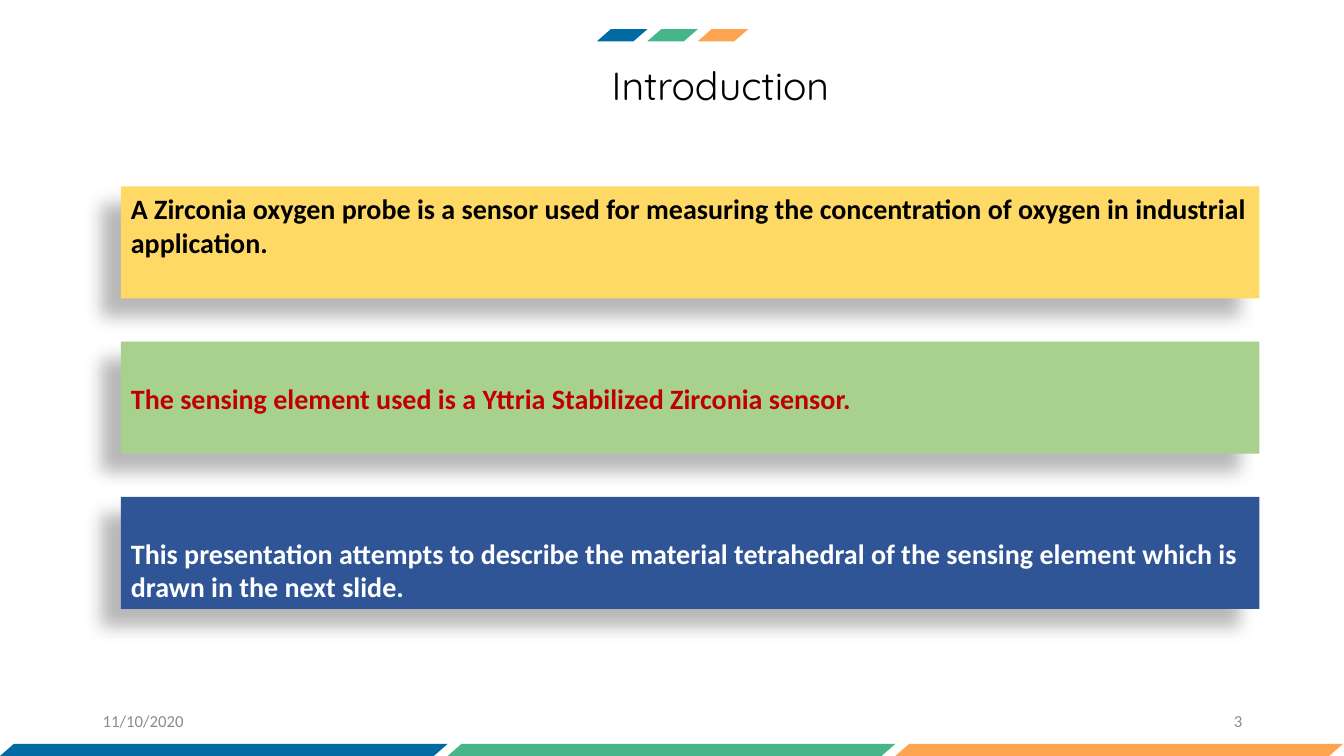
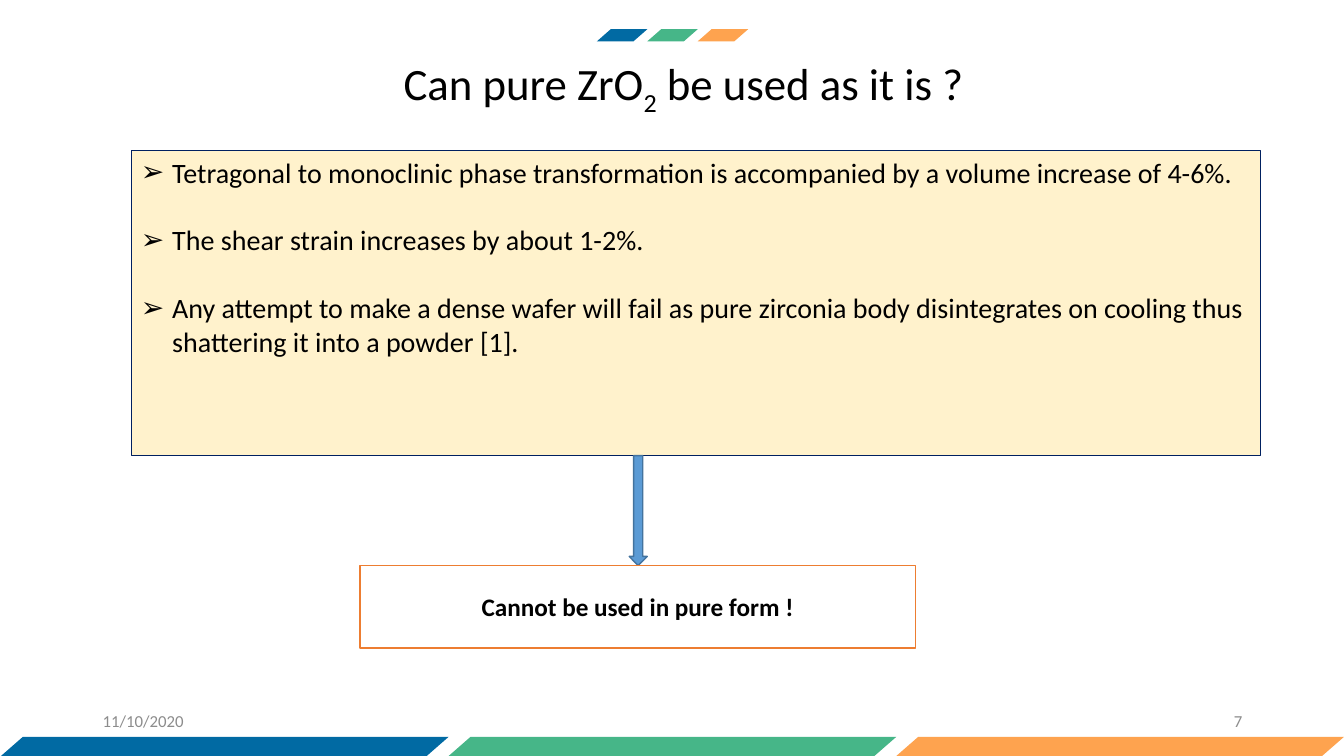
from dataclasses import dataclass

from lxml import etree
from pptx import Presentation, util as u
from pptx.dml.color import RGBColor
from pptx.enum import shapes, text
from pptx.oxml import ns


@dataclass(frozen=True)
class Theme:
    bands: tuple = ("016AA3", "46B688", "FEA34F")
    black: str = "000000"
    white: str = "FFFFFF"
    muted: str = "8C8C8C"
    red: str = "C00000"
    yellow: str = "FFD966"
    green: str = "A9D18E"
    navy: str = "2F5597"
    cream: str = "FFF2CC"
    outline: str = "002060"
    arrow: str = "5B9BD5"
    arrow_line: str = "43739E"
    orange: str = "ED7D31"
    font: str = "Calibri"
    title_font: str = "Quicksand"
    footer_size: int = 12
    label_size: int = 18
    body_size: int = 20
    bullet_gap: float = 24.4


theme = Theme()
ALIGN = text.PP_ALIGN
ANCHOR = text.MSO_ANCHOR
KIND = shapes.MSO_SHAPE


def write_text(shape, paragraphs, size=theme.body_size, font=theme.font, color=theme.black,
               bold=False, align=ALIGN.LEFT, anchor=ANCHOR.TOP,
               insets=(0.1, 0.05, 0.1, 0.05), bullet=None, gap=0):
    frame = shape.text_frame
    frame.word_wrap = True
    frame.vertical_anchor = anchor
    (frame.margin_left, frame.margin_top,
     frame.margin_right, frame.margin_bottom) = map(u.Inches, insets)
    for index, runs in enumerate(paragraphs):
        paragraph = frame.add_paragraph() if index else frame.paragraphs[0]
        paragraph.alignment = align
        paragraph.space_after = u.Pt(gap)
        if bullet:
            properties = paragraph._p.get_or_add_pPr()
            properties.set("marL", str(u.Inches(0.31)))
            properties.set("indent", str(u.Inches(-0.31)))
            etree.SubElement(properties, ns.qn("a:buFont"), typeface="Arial")
            etree.SubElement(properties, ns.qn("a:buChar"), char=bullet)
        for words, baseline in [(runs, 0)] if isinstance(runs, str) else runs:
            run = paragraph.add_run()
            run.text = words
            run.font.size = u.Pt(size)
            run.font.name = font
            run.font.bold = bold
            run.font.color.rgb = RGBColor.from_string(color)
            if baseline:
                run._r.get_or_add_rPr().set("baseline", str(baseline * 1000))


def add_box(parent, kind, box, fill, line=None, width=1, shadow=False):
    shape = parent.shapes.add_shape(kind, *map(u.Inches, box))
    shape.shadow.inherit = False
    shape.fill.solid()
    shape.fill.fore_color.rgb = RGBColor.from_string(fill)
    if line:
        shape.line.color.rgb = RGBColor.from_string(line)
        shape.line.width = u.Pt(width)
    else:
        shape.line.fill.background()
    if shadow:
        effects = shape._element.spPr.find(ns.qn("a:effectLst"))
        outer = etree.SubElement(effects, ns.qn("a:outerShdw"), blurRad=str(u.Pt(11.8)),
                                 dist=str(u.Pt(19.7)), dir=str(141 * 60000),
                                 algn="ctr", rotWithShape="0")
        tint = etree.SubElement(outer, ns.qn("a:srgbClr"), val=theme.black)
        etree.SubElement(tint, ns.qn("a:alpha"), val="28000")
    return shape


presentation = Presentation()
presentation.slide_width = u.Inches(13.33)
presentation.slide_height = u.Inches(7.5)

pages = [
    dict(title=["Introduction"], box=(3.79, 0.61, 6.71, 0.47), size=28,
         font=theme.title_font, number="3", band=(0, 7.38, 0.12)),
    dict(title=[[("Can pure ZrO", 0), ("2", -25), (" be used as it is ?", 0)]],
         box=(3.28, 0.59, 7, 0.54), size=32,
         font=theme.font, number="7", band=(0.01, 7.31, 0.19)),
]

slides = []
for page in pages:
    slide = presentation.slides.add_slide(presentation.slide_layouts[6])
    slides.append(slide)

    title = slide.shapes.add_textbox(*map(u.Inches, page["box"]))
    write_text(title, page["title"], size=page["size"], font=page["font"],
               align=ALIGN.CENTER, anchor=ANCHOR.MIDDLE, insets=(0, 0, 0, 0))

    band_left, band_top, band_height = page["band"]
    for left, top, width, height in ((band_left, band_top, 4.44, band_height),
                                     (5.92, 0.29, 0.5, 0.12)):
        group = slide.shapes.add_group_shape()
        for index, color in enumerate(theme.bands):
            band = add_box(group, KIND.PARALLELOGRAM,
                           (left + index * width, top, width, height), color)
            band.adjustments[0] = 1.144

    for left, words, align in ((0.92, "11/10/2020", ALIGN.LEFT),
                               (9.42, page["number"], ALIGN.RIGHT)):
        footer = slide.shapes.add_textbox(*map(u.Inches, (left, 6.95, 3, 0.4)))
        write_text(footer, [words], size=theme.footer_size, color=theme.muted,
                   align=align, anchor=ANCHOR.MIDDLE)

introduction, pure_zirconia = slides

cards = [
    ("A Zirconia oxygen probe is a sensor used for measuring the concentration of oxygen "
     "in industrial application.", theme.yellow, theme.black, 0.05),
    ("The sensing element used is a Yttria Stabilized Zirconia sensor.",
     theme.green, theme.red, 0.39),
    ("This presentation attempts to describe the material tetrahedral of the sensing element "
     "which is drawn in the next slide.", theme.navy, theme.white, 0.39),
]
for index, (words, fill, color, top_inset) in enumerate(cards):
    card = add_box(introduction, KIND.RECTANGLE, (1.2, 1.85 + index * 1.54, 11.29, 1.11),
                   fill, shadow=True)
    write_text(card, [words], color=color, bold=True, insets=(0.1, top_inset, 0.1, 0))

reasons = add_box(pure_zirconia, KIND.RECTANGLE, (1.3, 1.49, 11.2, 3.03),
                  theme.cream, theme.outline, 0.75)
write_text(reasons, [
    "Tetragonal to monoclinic phase transformation is accompanied by a volume increase of 4-6%.",
    "The shear strain increases by about 1-2%.",
    "Any attempt to make a dense wafer will fail as pure zirconia body disintegrates on cooling "
    "thus shattering it into a powder [1].",
], bullet="➢", gap=theme.bullet_gap)

add_box(pure_zirconia, KIND.DOWN_ARROW, (6.24, 4.52, 0.18, 1.09), theme.arrow, theme.arrow_line)

conclusion = add_box(pure_zirconia, KIND.RECTANGLE, (3.57, 5.61, 5.51, 0.82),
                     theme.white, theme.orange)
write_text(conclusion, ["Cannot be used in pure form !"], size=theme.label_size, bold=True,
           align=ALIGN.CENTER, anchor=ANCHOR.MIDDLE)

presentation.save("out.pptx")
